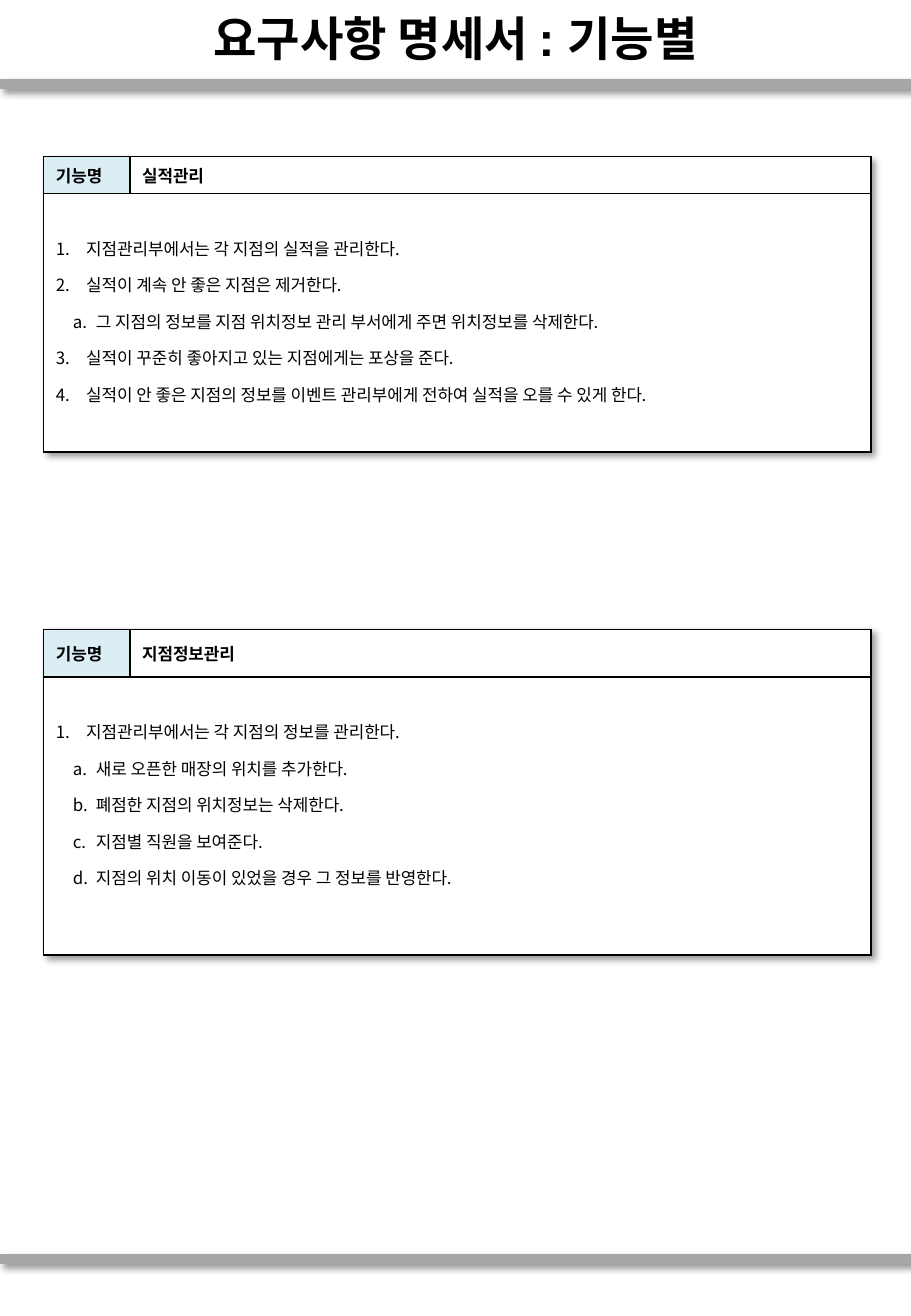
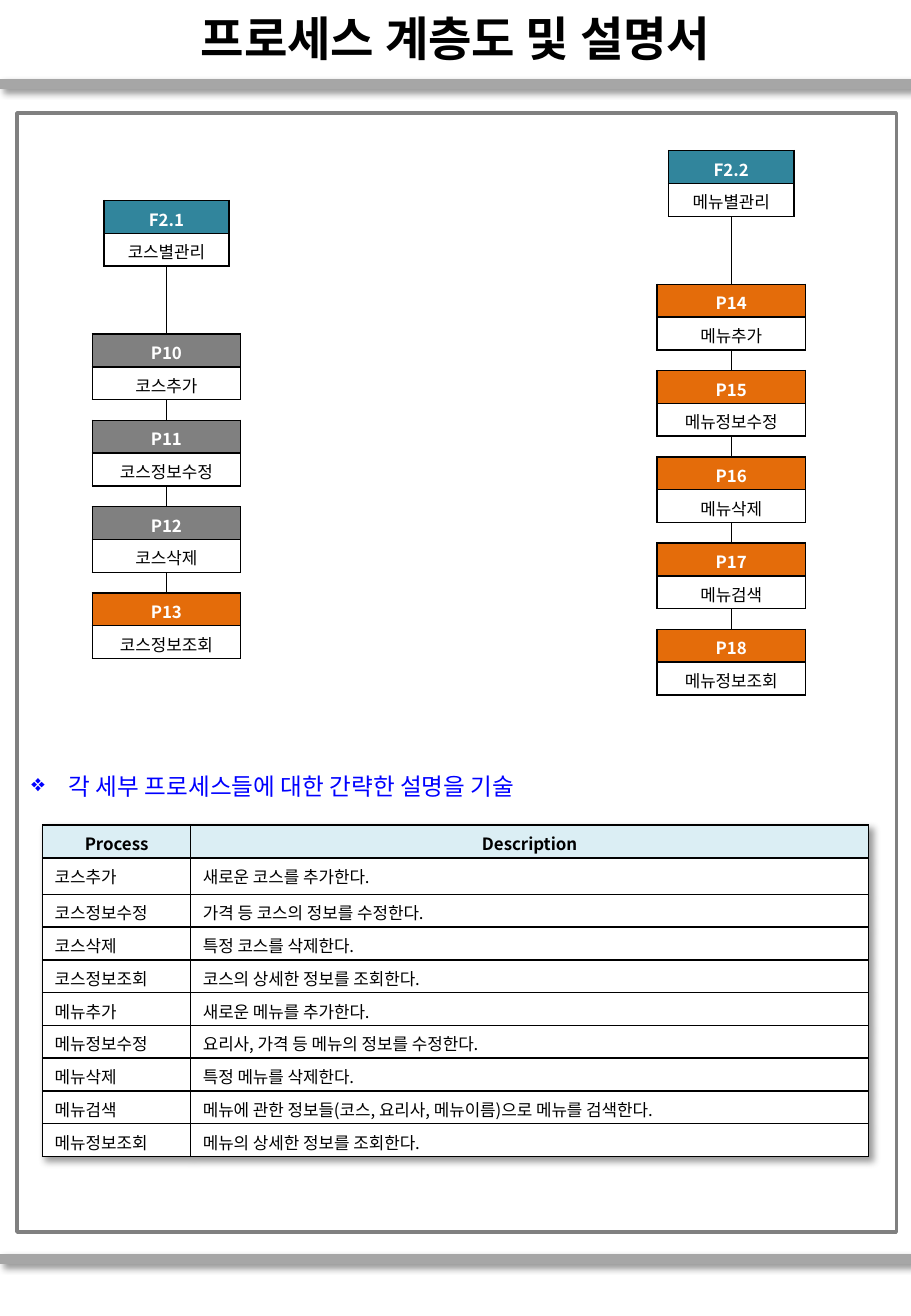
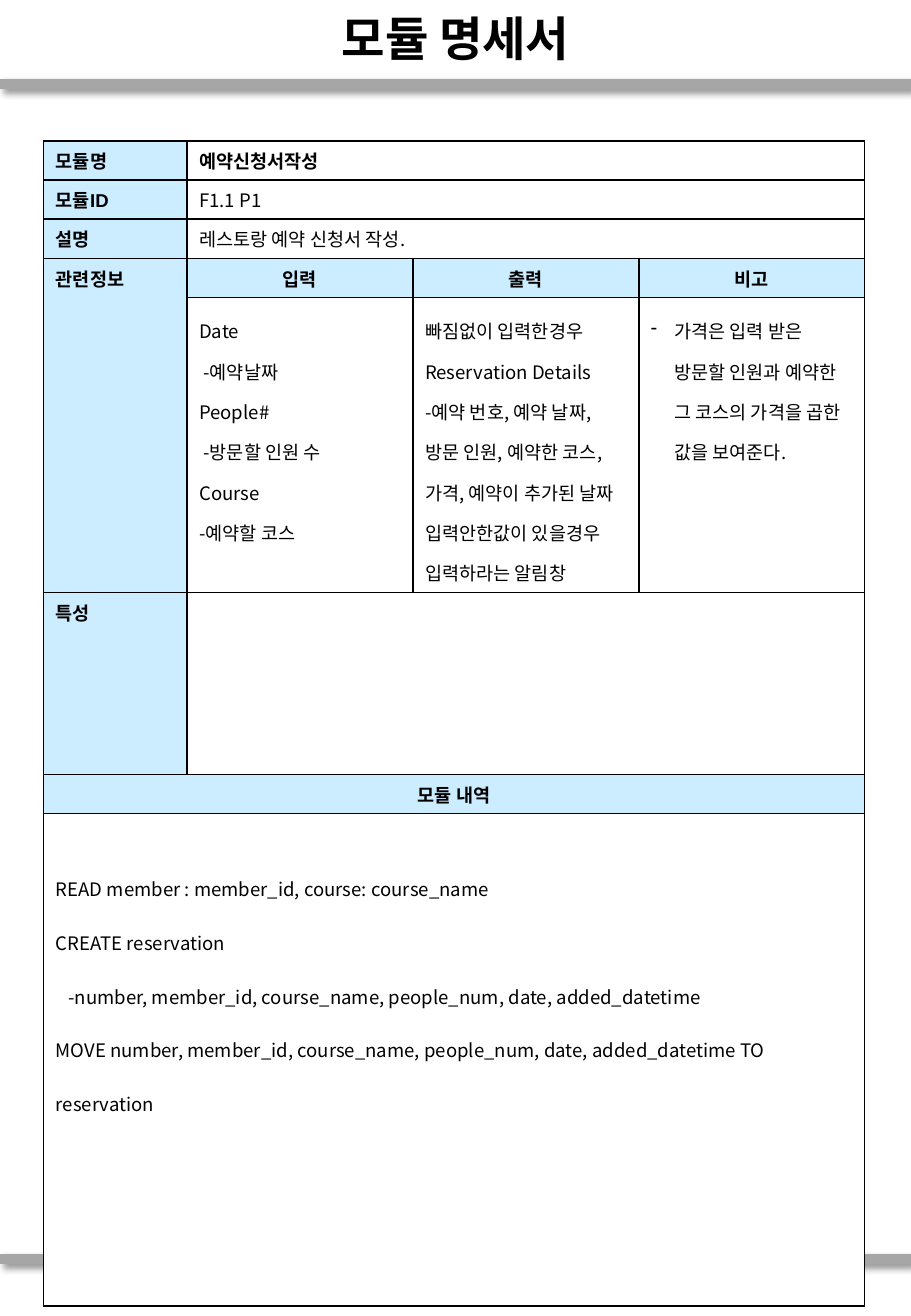
from lxml.etree import SubElement
from pptx import Presentation
from pptx.dml.color import RGBColor
from pptx.enum.shapes import MSO_CONNECTOR, MSO_SHAPE
from pptx.enum.text import MSO_ANCHOR, MSO_AUTO_SIZE, PP_ALIGN
from pptx.oxml import parse_xml
from pptx.oxml.ns import nsdecls, qn
from pptx.util import Inches, Pt

BLACK = RGBColor(0x00, 0x00, 0x00)
WHITE = RGBColor(0xFF, 0xFF, 0xFF)
BAND_GRAY = RGBColor(0xA6, 0xA6, 0xA6)
GRAY = RGBColor(0x80, 0x80, 0x80)
TEAL = RGBColor(0x31, 0x85, 0x9C)
ORANGE = RGBColor(0xE4, 0x6C, 0x0A)
BLUE = RGBColor(0x00, 0x00, 0xFF)
PALE_TEAL = RGBColor(0xDB, 0xEE, 0xF4)
PALE_BLUE = RGBColor(0xCC, 0xEC, 0xFF)
NOTO, ARIAL = "Noto Sans CJK KR", "Arial"

SLIDE_WIDTH, SLIDE_HEIGHT = 7.5, 10.83
BAND_TOPS = (0.69, 10.36)

# Marker kind: left margin and hanging indent
NUMBER, LETTER, DASH, DIAMOND = "arabicPeriod", "alphaLcPeriod", "-", "❖"
INDENTS = {NUMBER: (0.25, 0.25), LETTER: (0.33, 0.19),
           DASH: (0.19, 0.19), DIAMOND: (0.31, 0.31)}

# A paragraph is a string, or (text, marker kind, start number)
FUNCTIONS = [
    (1.29, (0.3, 2.13), "실적관리", [
        ("지점관리부에서는 각 지점의 실적을 관리한다.", NUMBER, 1),
        ("실적이 계속 안 좋은 지점은 제거한다.", NUMBER, 2),
        ("그 지점의 정보를 지점 위치정보 관리 부서에게 주면 위치정보를 삭제한다.", LETTER, 1),
        ("실적이 꾸준히 좋아지고 있는 지점에게는 포상을 준다.", NUMBER, 3),
        ("실적이 안 좋은 지점의 정보를 이벤트 관리부에게 전하여 실적을 오를 수 있게 한다.", NUMBER, 4),
    ]),
    (5.18, (0.39, 2.29), "지점정보관리", [
        ("지점관리부에서는 각 지점의 정보를 관리한다.", NUMBER, 1),
        ("새로 오픈한 매장의 위치를 추가한다.", LETTER, 1),
        ("폐점한 지점의 위치정보는 삭제한다.", LETTER, 2),
        ("지점별 직원을 보여준다.", LETTER, 3),
        ("지점의 위치 이동이 있었을 경우 그 정보를 반영한다.", LETTER, 4),
    ]),
]

# Center, top, and the nodes from the head down
HIERARCHIES = [
    (1.37, 1.65, [("F2.1", "코스별관리", TEAL), ("P10", "코스추가", GRAY),
                  ("P11", "코스정보수정", GRAY), ("P12", "코스삭제", GRAY),
                  ("P13", "코스정보조회", ORANGE)]),
    (6.02, 1.24, [("F2.2", "메뉴별관리", TEAL), ("P14", "메뉴추가", ORANGE),
                  ("P15", "메뉴정보수정", ORANGE), ("P16", "메뉴삭제", ORANGE),
                  ("P17", "메뉴검색", ORANGE), ("P18", "메뉴정보조회", ORANGE)]),
]
PROCESS_NOTE = "각 세부 프로세스들에 대한 간략한 설명을 기술"
PROCESSES = [
    ("Process", "Description"),
    ("코스추가", "새로운 코스를 추가한다."),
    ("코스정보수정", "가격 등 코스의 정보를 수정한다."),
    ("코스삭제", "특정 코스를 삭제한다."),
    ("코스정보조회", "코스의 상세한 정보를 조회한다."),
    ("메뉴추가", "새로운 메뉴를 추가한다."),
    ("메뉴정보수정", "요리사, 가격 등 메뉴의 정보를 수정한다."),
    ("메뉴삭제", "특정 메뉴를 삭제한다."),
    ("메뉴검색", "메뉴에 관한 정보들(코스, 요리사, 메뉴이름)으로 메뉴를 검색한다."),
    ("메뉴정보조회", "메뉴의 상세한 정보를 조회한다."),
]

MODULE_FACTS = [("모듈명", "예약신청서작성"), ("모듈ID", "F1.1 P1"),
                ("설명", "레스토랑 예약 신청서 작성.")]
MODULE_DETAILS = [
    ("입력", ["Date", " -예약날짜", "People#", " -방문할 인원 수", "Course", "-예약할 코스"]),
    ("출력", ["빠짐없이 입력한경우", "Reservation Details",
            "-예약 번호, 예약 날짜, 방문 인원, 예약한 코스, 가격, 예약이 추가된 날짜",
            "입력안한값이 있을경우 입력하라는 알림창"]),
    ("비고", [("가격은 입력 받은 방문할 인원과 예약한 그 코스의 가격을 곱한 값을 보여준다.", DASH, 1)]),
]
MODULE_CODE = [
    "READ member : member_id, course: course_name",
    "CREATE reservation",
    "   -number, member_id, course_name, people_num, date, added_datetime",
    "MOVE number, member_id, course_name, people_num, date, added_datetime TO reservation",
]


def add_marker(para, kind, start):
    left, hanging = INDENTS[kind]
    properties = para._p.get_or_add_pPr()
    properties.set("marL", str(Inches(left)))
    properties.set("indent", str(-Inches(hanging)))
    if kind in (NUMBER, LETTER):
        SubElement(properties, qn("a:buAutoNum"), type=kind, startAt=str(start))
    else:
        SubElement(properties, qn("a:buChar"), char=kind)


def write(frame, paragraphs, size=10, bold=False, color=BLACK, font=NOTO,
          align=PP_ALIGN.LEFT, spacing=None):
    for index, item in enumerate(paragraphs):
        text, *marker = [item] if isinstance(item, str) else item
        para = frame.add_paragraph() if index else frame.paragraphs[0]
        if marker:
            add_marker(para, *marker)
        para.alignment = align
        para.line_spacing = spacing
        span = para.add_run()
        span.text = text
        span.font.size, span.font.bold, span.font.name = Pt(size), bold, font
        span.font.color.rgb = color
        span.font._element.find(qn("a:latin")).addnext(
            parse_xml(f'<a:ea {nsdecls("a")} typeface="{NOTO}"/>'))


def effects(shadow):
    inner = ('<a:outerShdw blurRad="50800" dist="38100" dir="2700000" algn="tl">'
             '<a:srgbClr val="000000"><a:alpha val="40000"/></a:srgbClr></a:outerShdw>')
    return parse_xml(f'<a:effectLst {nsdecls("a")}>{inner if shadow else ""}</a:effectLst>')


def add_line(slide, start, end, color, width, shadow=False):
    line = slide.shapes.add_connector(MSO_CONNECTOR.STRAIGHT, *map(Inches, start + end))
    line.line.color.rgb, line.line.width = color, Pt(width)
    line.element.spPr.append(effects(shadow))
    return line


def add_grid(slide, left, top, widths, heights, shadow=False):
    """Add a table of empty white cells with black borders."""
    table = slide.shapes.add_table(
        len(heights), len(widths), Inches(left), Inches(top),
        Inches(sum(widths)), Inches(sum(heights))).table
    table.first_row = table.horz_banding = False
    for column, width in zip(table.columns, widths):
        column.width = Inches(width)
    for row, height in zip(table.rows, heights):
        row.height = Inches(height)
    for cell in table.iter_cells():
        properties = cell._tc.get_or_add_tcPr()
        for side in "LRTB":
            properties.append(parse_xml(
                f'<a:ln{side} {nsdecls("a")} w="12700"><a:solidFill>'
                f'<a:srgbClr val="{BLACK}"/></a:solidFill></a:ln{side}>'))
        cell.fill.solid()
        cell.fill.fore_color.rgb = WHITE
    if shadow:
        table._tbl.tblPr.insert(0, effects(True))
    return table


def fill_cell(cell, paragraphs, fill=WHITE, anchor=MSO_ANCHOR.TOP,
              above=0.05, below=0.05, **style):
    cell.fill.fore_color.rgb = fill
    cell.vertical_anchor = anchor
    cell.margin_top, cell.margin_bottom = Inches(above), Inches(below)
    write(cell.text_frame, paragraphs, **style)


def prepare_layout(deck):
    """Put the title place and the two bands where every slide inherits them."""
    layout = deck.slide_layouts.get_by_name("Title Only")
    for holder in list(layout.placeholders)[1:]:
        holder.element.getparent().remove(holder.element)
    title = layout.placeholders[0]
    title.left, title.top, title.width, title.height = map(
        Inches, (0, 0.01, SLIDE_WIDTH, 0.6))
    title.text_frame.vertical_anchor = MSO_ANCHOR.MIDDLE
    return layout


def add_bands(deck, slide):
    for top in BAND_TOPS:
        band = add_line(slide, (0, top), (SLIDE_WIDTH, top), BAND_GRAY, 6, shadow=True)
        deck.slide_master.shapes.element.append(band.element)


def add_page(deck, layout, title, font=NOTO):
    slide = deck.slides.add_slide(layout)
    frame = slide.shapes.title.text_frame
    frame.auto_size = MSO_AUTO_SIZE.NONE
    write(frame, [title], size=28, bold=True, font=font, align=PP_ALIGN.CENTER)
    return slide


def draw_functions(slide):
    for top, heights, name, rules in FUNCTIONS:
        table = add_grid(slide, 0.36, top, (0.71, 6.1), heights, shadow=True)
        for column, (text, fill) in enumerate([("기능명", PALE_TEAL), (name, WHITE)]):
            fill_cell(table.cell(0, column), [text], fill, MSO_ANCHOR.MIDDLE, bold=True)
        body = table.cell(1, 0)
        body.merge(table.cell(1, 1))
        fill_cell(body, rules, above=0.25, spacing=1.5)


def draw_hierarchy(slide, center, top, nodes):
    row, step, head_gap = 0.27, 0.71, 1.1
    tops = [top] + [top + head_gap + step * index for index in range(len(nodes) - 1)]
    add_line(slide, (center, top + 2 * row), (center, tops[-1]), BLACK, 0.75)
    for index, (node_top, (code, name, color)) in enumerate(zip(tops, nodes)):
        width = 1.22 if index else 1.03
        table = add_grid(slide, center - width / 2, node_top, [width], [row, row])
        shared = dict(below=0.01, align=PP_ALIGN.CENTER)
        fill_cell(table.cell(0, 0), [code], color, bold=True, color=WHITE, **shared)
        fill_cell(table.cell(1, 0), [name], **shared)


def draw_processes(slide):
    frame = slide.shapes.add_shape(
        MSO_SHAPE.RECTANGLE, *map(Inches, (0.14, 0.93, 7.24, 9.21)))
    frame.shadow.inherit = False
    frame.fill.solid()
    frame.fill.fore_color.rgb = WHITE
    frame.line.color.rgb, frame.line.width = GRAY, Pt(2)
    for hierarchy in HIERARCHIES:
        draw_hierarchy(slide, *hierarchy)

    note = slide.shapes.add_textbox(*map(Inches, (0.16, 6.3, 6.14, 0.34))).text_frame
    note.word_wrap = True
    write(note, [(PROCESS_NOTE, DIAMOND, 1)], size=14, color=BLUE)

    heights = [0.27, 0.3] + [0.27] * (len(PROCESSES) - 2)
    table = add_grid(slide, 0.35, 6.79, (1.22, 5.58), heights, shadow=True)
    for row, texts in enumerate(PROCESSES):
        style = {} if row else dict(fill=PALE_TEAL, bold=True, align=PP_ALIGN.CENTER)
        for column, text in enumerate(texts):
            fill_cell(table.cell(row, column), [text], below=0.01, **style)


def draw_module(slide):
    line = 0.32
    table = add_grid(slide, 0.36, 1.16, [1.18] + [1.86] * 3,
                     [line] * 4 + [2.42, 1.5, line, 4.05])
    label = dict(fill=PALE_BLUE, size=11, bold=True, font=ARIAL)
    for row in (0, 1, 2, 5):
        table.cell(row, 1).merge(table.cell(row, 3))
    for row in (6, 7):
        table.cell(row, 0).merge(table.cell(row, 3))
    table.cell(3, 0).merge(table.cell(4, 0))

    for row, (name, value) in enumerate(MODULE_FACTS):
        fill_cell(table.cell(row, 0), [name], **label)
        fill_cell(table.cell(row, 1), [value], size=11, bold=row == 0)
    for row, name in ((3, "관련정보"), (5, "특성")):
        fill_cell(table.cell(row, 0), [name], **label)
    for column, (name, details) in enumerate(MODULE_DETAILS, 1):
        fill_cell(table.cell(3, column), [name], align=PP_ALIGN.CENTER, **label)
        fill_cell(table.cell(4, column), details, size=11, spacing=1.5)
    fill_cell(table.cell(6, 0), ["모듈 내역"], align=PP_ALIGN.CENTER, **label)
    fill_cell(table.cell(7, 0), MODULE_CODE, above=0.28, size=11, spacing=2.0)


def main():
    deck = Presentation()
    deck.slide_width, deck.slide_height = Inches(SLIDE_WIDTH), Inches(SLIDE_HEIGHT)
    layout = prepare_layout(deck)
    functions = add_page(deck, layout, "요구사항 명세서 : 기능별", font=ARIAL)
    add_bands(deck, functions)
    draw_functions(functions)
    draw_processes(add_page(deck, layout, "프로세스 계층도 및 설명서"))
    draw_module(add_page(deck, layout, "모듈 명세서"))
    deck.save("out.pptx")


if __name__ == "__main__":
    main()
